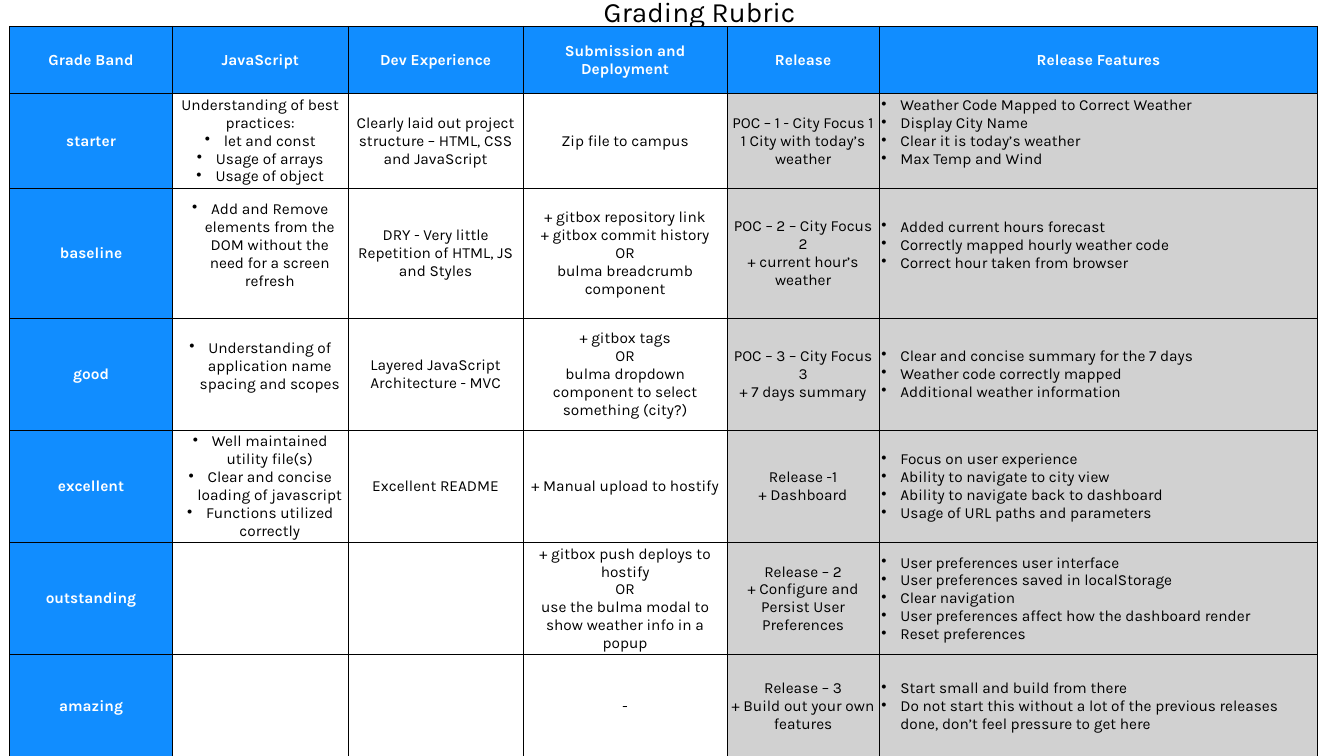
import pptx
import pptx.dml.color
import pptx.enum.text
import pptx.oxml
import pptx.oxml.ns
import pptx.util

Cm, Pt = pptx.util.Cm, pptx.util.Pt
RGB = pptx.dml.color.RGBColor.from_string
ALIGN = pptx.enum.text.PP_ALIGN
MIDDLE = pptx.enum.text.MSO_ANCHOR.MIDDLE


class Theme:
    font = "Karla"
    title, body = Pt(20), Pt(11)
    black, white = "000000", "FFFFFF"
    blue, grey = "118DFF", "D1D1D1"
    rule = Pt(0.75)
    inset, indent, lift = Cm(0.05), Cm(0.48), Cm(0.46)


COLS = [4.11, 4.42, 4.42, 5.13, 3.84, 11.05]
ROWS = [1.7, 2.38, 3.28, 2.82, 2.84, 2.62, 2.62]
LAST = len(COLS) - 1

# Each cell is a list of paragraphs; a leading bullet marks a list item
HEAD = [["Grade Band"], ["JavaScript"], ["Dev Experience"],
        ["Submission and Deployment"], ["Release"], ["Release Features"]]
BANDS = [
    [["starter"],
     ["Understanding of best practices:", "•let and const",
      "•Usage of arrays", "•Usage of object"],
     ["Clearly laid out project structure – HTML, CSS and JavaScript"],
     ["Zip file to campus"],
     ["POC – 1 - City Focus 1\n1 City with today’s weather"],
     ["•Weather Code Mapped to Correct Weather", "•Display City Name",
      "•Clear it is today’s weather", "•Max Temp and Wind"]],
    [["baseline"],
     ["•Add and Remove elements from the DOM without the need for a screen refresh"],
     ["DRY - Very little Repetition of HTML, JS and Styles"],
     ["+ gitbox repository link\n+ gitbox commit history\nOR",
      "bulma breadcrumb component"],
     ["POC – 2 – City Focus 2\n+ current hour’s weather"],
     ["•Added current hours forecast", "•Correctly mapped hourly weather code",
      "•Correct hour taken from browser"]],
    [["good"],
     ["•Understanding of application name spacing and scopes"],
     ["Layered JavaScript Architecture - MVC"],
     ["+ gitbox tags\nOR", "bulma dropdown component to select something (city?)"],
     ["POC – 3 – City Focus 3\n+ 7 days summary"],
     ["•Clear and concise summary for the 7 days",
      "•Weather code correctly mapped", "•Additional weather information"]],
    [["excellent"],
     ["•Well maintained utility file(s)",
      "•Clear and concise loading of javascript", "•Functions utilized correctly"],
     ["Excellent README"],
     ["+ Manual upload to hostify"],
     ["Release -1\n+ Dashboard"],
     ["•Focus on user experience", "•Ability to navigate to city view",
      "•Ability to navigate back to dashboard",
      "•Usage of URL paths and parameters"]],
    [["outstanding"], [], [],
     ["+ gitbox push deploys to hostify\nOR\n"
      "use the bulma modal to show weather info in a popup"],
     ["Release – 2\n+ Configure and Persist User Preferences"],
     ["•User preferences user interface", "•User preferences saved in localStorage",
      "•Clear navigation", "•User preferences affect how the dashboard render",
      "•Reset preferences"]],
    [["amazing"], [], [],
     ["-"],
     ["Release – 3\n+ Build out your own features"],
     ["•Start small and build from there",
      "•Do not start this without a lot of the previous releases done, "
      "don’t feel pressure to get here"]],
]
# Cells whose text sits a little above the middle
RAISED = {(1, 5), (2, 1), (2, 5), (3, 1)}


def style(para, size, color, bold=False):
    para.font.name = Theme.font
    para.font.size = size
    para.font.bold = bold
    para.font.color.rgb = RGB(color)


def bullet(para):
    props = para._p.get_or_add_pPr()
    props.set("marL", str(Theme.indent))
    props.set("indent", str(-Theme.indent))
    mark = pptx.oxml.parse_xml(
        f'<a:buChar {pptx.oxml.ns.nsdecls("a")} char="•"/>')
    props.insert_element_before(mark, "a:tabLst", "a:defRPr", "a:extLst")


def border(cell):
    props = cell._tc.get_or_add_tcPr()
    for i, side in enumerate("LRTB"):
        props.insert(i, pptx.oxml.parse_xml(
            f'<a:ln{side} {pptx.oxml.ns.nsdecls("a")} w="{Theme.rule}">'
            f'<a:solidFill><a:srgbClr val="{Theme.black}"/></a:solidFill>'
            f'</a:ln{side}>'))


def fill_cell(cell, lines, row, col):
    label = row == 0 or col == 0
    # Ground and borders
    if label or col >= LAST - 1:
        cell.fill.solid()
        cell.fill.fore_color.rgb = RGB(Theme.blue if label else Theme.grey)
    else:
        cell.fill.background()
    border(cell)
    # Text
    cell.vertical_anchor = MIDDLE
    cell.margin_left = cell.margin_right = cell.margin_top = Theme.inset
    cell.margin_bottom = Theme.lift if (row, col) in RAISED else Theme.inset
    frame = cell.text_frame
    for i, line in enumerate(lines):
        para = frame.add_paragraph() if i else frame.paragraphs[0]
        para.text = line.removeprefix("•")
        para.alignment = ALIGN.LEFT if col == LAST and row else ALIGN.CENTER
        style(para, Theme.body, Theme.white if label else Theme.black, label)
        if line.startswith("•"):
            bullet(para)


def add_title(slide, left, top, width, height):
    title = slide.shapes.title
    title.left, title.top, title.width, title.height = left, top, width, height
    frame = title.text_frame
    frame.text = "Grading Rubric"
    frame.auto_size = pptx.enum.text.MSO_AUTO_SIZE.NONE
    frame.vertical_anchor = MIDDLE
    para = frame.paragraphs[0]
    para.alignment = ALIGN.LEFT
    para.line_spacing = 0.9
    style(para, Theme.title, Theme.black)


def add_rubric(slide, left, top):
    table = slide.shapes.add_table(
        len(ROWS), len(COLS), left, top, Cm(sum(COLS)), Cm(sum(ROWS))).table
    table.first_row = table.horz_banding = False
    for column, width in zip(table.columns, COLS):
        column.width = Cm(width)
    for row, height in enumerate(ROWS):
        table.rows[row].height = Cm(height)
    for row, cells in enumerate([HEAD] + BANDS):
        for col, lines in enumerate(cells):
            fill_cell(table.cell(row, col), lines, row, col)


def main():
    deck = pptx.Presentation()
    deck.slide_width, deck.slide_height = Cm(33.87), Cm(19.05)
    slide = deck.slides.add_slide(deck.slide_layouts.get_by_name("Title Only"))
    add_title(slide, Cm(14.96), Cm(0.13), Cm(6.38), Cm(0.41))
    add_rubric(slide, Cm(0.24), Cm(0.66))
    deck.save("out.pptx")


if __name__ == "__main__":
    main()
